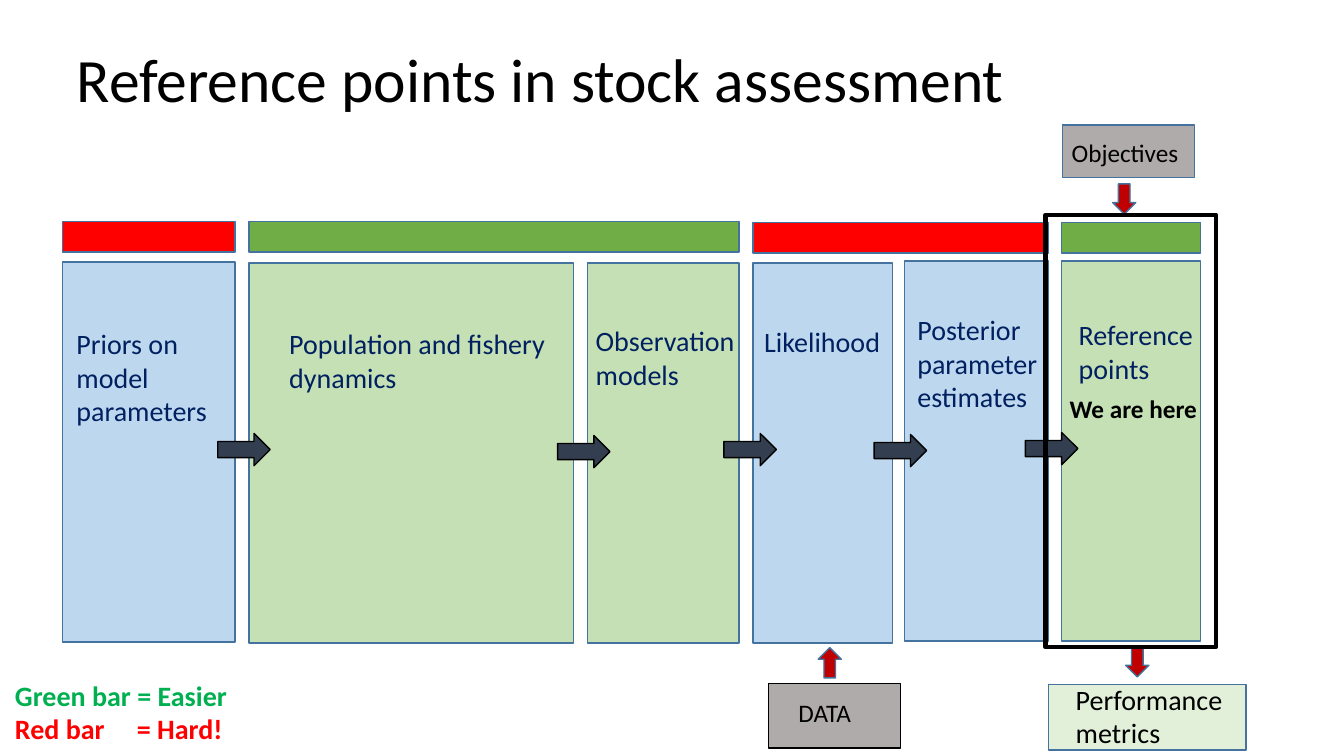
from lxml import etree
from pptx import Presentation
from pptx import util as u
from pptx.dml.color import RGBColor
from pptx.enum import shapes, text
from pptx.oxml.ns import qn

RECT = shapes.MSO_SHAPE.RECTANGLE
ARROW = shapes.MSO_SHAPE.RIGHT_ARROW
EDGE, BLACK, NAVY = "43739E", "000000", "002060"
BLUE, PALE_GREEN, MINT = "BDD7EE", "C5E0B4", "E2F0D9"
GREEN, RED, DARK_RED, SLATE, GREY = "70AD47", "FF0000", "C00000", "333F50", "AFABAB"


def color(hex_string):
    return RGBColor.from_string(hex_string)


class FlowSlide:
    """Holds the text style and the current slide, and draws each kind of element."""

    def __init__(self, deck, font="Calibri"):
        self.font = font
        self.slide = deck.slides.add_slide(deck.slide_layouts[5])

    def add_words(self, paragraph, words, size, ink, bold=False):
        run = paragraph.add_run()
        run.text = words
        run.font.name = self.font
        run.font.size = u.Pt(size)
        run.font.bold = bold
        run.font.color.rgb = color(ink)

    def title(self, words, left, top, width, height):
        heading = self.slide.shapes.title
        heading.left, heading.top = u.Inches(left), u.Inches(top)
        heading.width, heading.height = u.Inches(width), u.Inches(height)
        frame = heading.text_frame
        frame.auto_size = text.MSO_AUTO_SIZE.NONE
        frame.vertical_anchor = text.MSO_ANCHOR.MIDDLE
        paragraph = frame.paragraphs[0]
        paragraph.alignment = text.PP_ALIGN.LEFT
        paragraph.line_spacing = 0.9
        self.add_words(paragraph, words, 44, BLACK)

    def block(self, left, top, width, height, fill, edge=EDGE,
              weight=1, kind=RECT, turn=0):
        block = self.slide.shapes.add_shape(
            kind, u.Inches(left), u.Inches(top), u.Inches(width), u.Inches(height))
        block.shadow.inherit = False
        block.rotation = turn
        if fill:
            block.fill.solid()
            block.fill.fore_color.rgb = color(fill)
        else:
            block.fill.background()
        block.line.color.rgb = color(edge)
        block.line.width = u.Pt(weight)

    def label(self, left, top, width, height, lines, size=20, ink=NAVY,
              bold=False, tab=None):
        label = self.slide.shapes.add_textbox(
            u.Inches(left), u.Inches(top), u.Inches(width), u.Inches(height))
        frame = label.text_frame
        frame.word_wrap = True
        frame.auto_size = text.MSO_AUTO_SIZE.SHAPE_TO_FIT_TEXT
        inks = ink if isinstance(ink, list) else [ink] * len(lines)
        for i, (words, line_ink) in enumerate(zip(lines, inks)):
            paragraph = frame.add_paragraph() if i else frame.paragraphs[0]
            if tab and "\t" in words:
                stops = etree.SubElement(paragraph._p.get_or_add_pPr(), qn("a:tabLst"))
                etree.SubElement(stops, qn("a:tab"), pos=str(u.Inches(tab)), algn="l")
            self.add_words(paragraph, words, size, line_ink, bold)


def main():
    deck = Presentation()
    deck.slide_width, deck.slide_height = u.Inches(13.33), u.Inches(7.5)
    flow = FlowSlide(deck)
    flow.title("Reference points in stock assessment", 0.66, 0.09, 12.21, 1.45)

    stages = [(0.62, 2.6, 1.71, BLUE), (2.47, 2.61, 3.22, PALE_GREEN),
              (5.83, 2.61, 1.5, PALE_GREEN), (7.47, 2.61, 1.38, BLUE),
              (8.97, 2.59, 1.43, BLUE), (10.53, 2.59, 1.38, PALE_GREEN)]
    for left, top, width, fill in stages:
        flow.block(left, top, width, 3.77, fill)

    stage_names = [(0.66, 3.19, 1.6, 1.11, ["Priors on model parameters"]),
                   (2.77, 3.19, 3.02, 0.77, ["Population and fishery dynamics"]),
                   (5.81, 3.16, 1.73, 0.77, ["Observation models"]),
                   (7.48, 3.17, 1.49, 0.44, ["Likelihood"]),
                   (9, 3.05, 1.39, 1.11, ["Posterior parameter estimates"]),
                   (10.6, 3.1, 1.49, 0.77, ["Reference", "points"])]
    for stage_name in stage_names:
        flow.label(*stage_name)

    flow.block(10.54, 1.24, 1.31, 0.52, GREY)
    flow.label(10.53, 1.31, 1.32, 0.4, ["Objectives"], 18, BLACK)
    flow.block(7.62, 6.78, 1.31, 0.64, GREY, BLACK)
    flow.label(7.82, 6.87, 0.92, 0.4, ["DATA"], 18, BLACK)
    flow.block(10.4, 6.79, 1.96, 0.65, MINT)
    flow.label(10.57, 6.72, 1.81, 0.77, ["Performance metrics"], 20, BLACK)

    for left, top, turn in [(8.08, 6.46, 270), (11, 1.86, 90), (11.13, 6.45, 90)]:
        flow.block(left, top, 0.3, 0.23, DARK_RED, kind=ARROW, turn=turn)
    for left, top in [(2.16, 4.3), (5.53, 4.32), (7.18, 4.3), (8.67, 4.31), (10.17, 4.29)]:
        flow.block(left, top, 0.52, 0.32, SLATE, BLACK, kind=ARROW)

    difficulty_bars = [(2.47, 2.2, 4.86, GREEN), (0.62, 2.2, 1.71, RED),
                       (7.47, 2.21, 2.93, RED), (10.53, 2.21, 1.38, GREEN)]
    for left, top, width, fill in difficulty_bars:
        flow.block(left, top, width, 0.3, fill)
    flow.label(0.05, 6.68, 4.5, 0.77, ["Green bar = Easier", "Red bar\t= Hard!"],
               ink=["00B050", RED], bold=True, tab=1.21)

    flow.block(10.37, 2.13, 1.69, 4.29, None, BLACK, 3)
    flow.label(10.51, 3.85, 1.49, 0.4, ["We are here"], 18, BLACK, True)
    deck.save("out.pptx")


if __name__ == "__main__":
    main()
